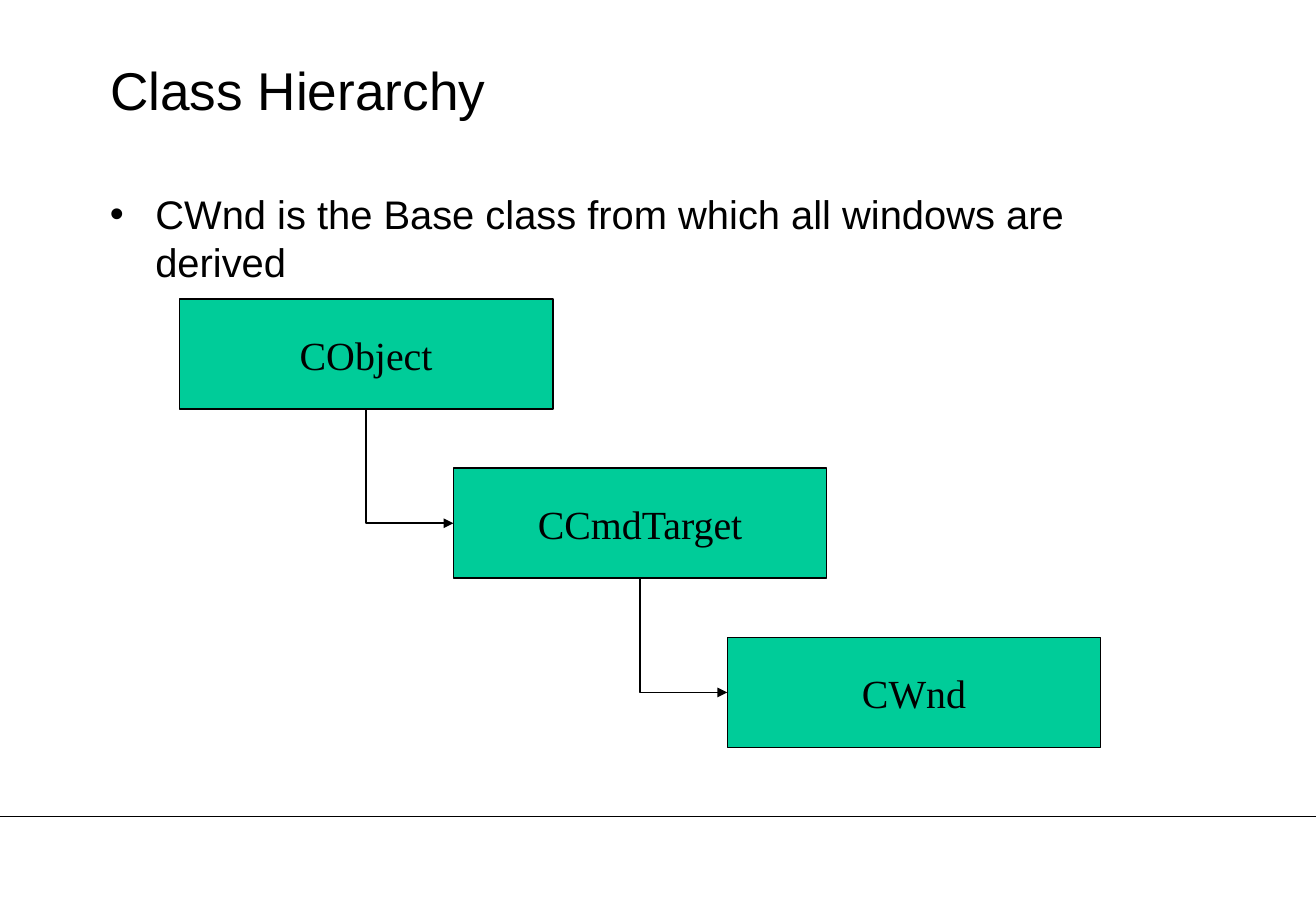
from lxml.etree import SubElement
from pptx import Presentation
from pptx.dml.color import RGBColor
from pptx.enum.shapes import MSO_CONNECTOR as Connector, MSO_SHAPE as Shape
from pptx.enum.text import MSO_ANCHOR as Anchor, PP_ALIGN as Align
from pptx.oxml.ns import qn
from pptx.util import Inches, Pt

BLACK = RGBColor(0, 0, 0)
WHITE = RGBColor(255, 255, 255)
GREEN = RGBColor(0, 0xCC, 0x99)
CLASSES = ["CObject", "CCmdTarget", "CWnd"]


def write(frame, text, font="Arial", size=24, align=Align.LEFT,
          anchor=Anchor.TOP, wrap=True, bullet=False):
    """Put one formatted paragraph in a text frame."""
    frame.text = text
    frame.word_wrap = wrap
    frame.vertical_anchor = anchor
    paragraph = frame.paragraphs[0]
    paragraph.alignment = align
    if bullet:
        properties = paragraph._p.get_or_add_pPr()
        properties.set("marL", str(Inches(0.38)))
        properties.set("indent", str(-Inches(0.38)))
        SubElement(properties, qn("a:buFont"), typeface="Arial")
        SubElement(properties, qn("a:buChar"), char="•")
    paragraph.font.name = font
    paragraph.font.size = Pt(size)
    paragraph.font.color.rgb = BLACK


def style_line(connector, weight):
    """Draw a connector in plain black without a shadow."""
    connector.line.color.rgb = BLACK
    connector.line.width = Pt(weight)
    SubElement(connector._element.spPr, qn("a:effectLst"))


def add_title(slide, left, top, width, height):
    """Place the slide title in its box."""
    title = slide.shapes.title
    title.left, title.top, title.width, title.height = left, top, width, height
    write(title.text_frame, "Class Hierarchy", size=32, anchor=Anchor.MIDDLE)


def add_statement(slide, left, top, width, height):
    """Place the bulleted statement in its box."""
    statement = slide.shapes.add_textbox(left, top, width, height)
    write(statement.text_frame,
          "CWnd is the Base class from which all windows are derived", bullet=True)


def add_class(slide, name, left, top, width, height):
    """Draw one class of the hierarchy."""
    node = slide.shapes.add_shape(Shape.RECTANGLE, left, top, width, height)
    node.shadow.inherit = False
    node.fill.solid()
    node.fill.fore_color.rgb = GREEN
    node.line.color.rgb = BLACK
    node.line.width = Pt(1)
    write(node.text_frame, name, font="Times New Roman", align=Align.CENTER,
          anchor=Anchor.MIDDLE, wrap=False)
    return node


def link_classes(slide, base, derived):
    """Run a one-bend arrow from the base's bottom to the derived class's left."""
    start_x, start_y = base.left + base.width // 2, base.top + base.height
    end_x, end_y = derived.left, derived.top + derived.height // 2
    arrow = slide.shapes.add_connector(Connector.ELBOW, start_x, start_y, end_x, end_y)
    arrow.begin_connect(base, 2)
    arrow.end_connect(derived, 1)
    across, down = end_x - start_x, end_y - start_y
    arrow.left = start_x + (across - down) // 2
    arrow.top = start_y + (down - across) // 2
    arrow.width, arrow.height = down, across
    properties = arrow._element.spPr
    properties.find(qn("a:prstGeom")).set("prst", "bentConnector2")
    transform = properties.find(qn("a:xfrm"))
    transform.set("rot", str(270 * 60000))
    transform.set("flipH", "1")
    style_line(arrow, 1)
    SubElement(arrow.line._get_or_add_ln(), qn("a:tailEnd"),
               type="triangle", w="med", len="med")


def add_hierarchy(slide, left, top, width, height):
    """Step the classes down a diagonal of the box and link them."""
    node_width, node_height = Inches(3.12), Inches(0.92)
    steps = len(CLASSES) - 1
    step_x, step_y = (width - node_width) // steps, (height - node_height) // steps
    nodes = [add_class(slide, name, left + i * step_x, top + i * step_y,
                       node_width, node_height)
             for i, name in enumerate(CLASSES)]
    for base, derived in zip(nodes, nodes[1:]):
        link_classes(slide, base, derived)


def add_footer_rule(slide, left, top, width):
    """Draw the rule above the footer."""
    rule = slide.shapes.add_connector(Connector.STRAIGHT, left, top, left + width, top)
    style_line(rule, 0.75)


def main():
    """Build and save the slide."""
    deck = Presentation()
    deck.slide_width, deck.slide_height = Inches(11), Inches(7.5)
    slide = deck.slides.add_slide(deck.slide_layouts[5])
    slide.background.fill.solid()
    slide.background.fill.fore_color.rgb = WHITE
    add_footer_rule(slide, 0, Inches(6.83), deck.slide_width)
    add_title(slide, Inches(0.82), Inches(0.25), Inches(8.51), Inches(1))
    add_statement(slide, Inches(0.82), Inches(1.54), Inches(9.35), Inches(5.13))
    add_hierarchy(slide, Inches(1.5), Inches(2.5), Inches(7.7), Inches(3.75))
    deck.save("out.pptx")


if __name__ == "__main__":
    main()
